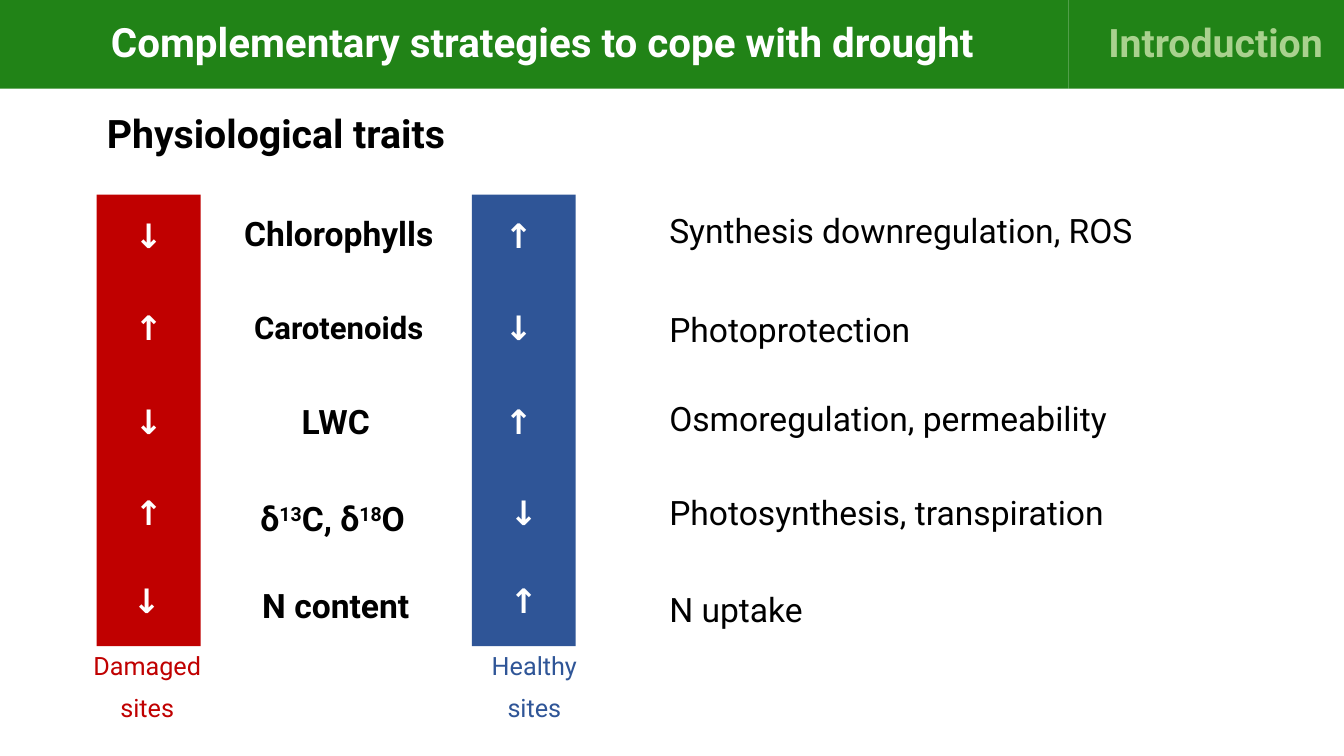
"""Build the slide on physiological strategies to cope with drought."""
import pptx
import pptx.util
import pptx.dml.color
import pptx.enum.shapes
import pptx.enum.text

TITLE = "Complementary strategies to cope with drought"
SECTION = "Introduction"
HEADING = "Physiological traits"
COLORS = {"green": "218317", "light": "A9D18E", "damaged": "C00000",
          "healthy": "2F5597", "white": "FFFFFF", "black": "000000"}
SITES = [
    {"name": "Damaged", "color": "damaged", "left": 0.96, "label_left": 0.77},
    {"name": "Healthy", "color": "healthy", "left": 4.68, "label_left": 4.61},
]
# fmt: off
TRAITS = [
    {"name": ["Chlorophylls"], "size": 24, "spacing": 0.9, "center": 3.36, "arrows": "↓↑",
     "reason": "Synthesis downregulation, ROS", "reason_spacing": 0.8,
     "tops": (2.16, 2.11, 2.11), "nudges": (0, -0.05)},
    {"name": ["Carotenoids"], "size": 22.2, "spacing": 0.9, "center": 3.36, "arrows": "↑↓",
     "reason": "Photoprotection", "reason_spacing": 0.9,
     "tops": (3.07, 3.05, 3.06), "nudges": (0, -0.05)},
    {"name": ["LWC"], "size": 24, "spacing": 0.8, "center": 3.33, "arrows": "↓↑",
     "reason": "Osmoregulation, permeability", "reason_spacing": 0.9,
     "tops": (4.01, 4.01, 3.94), "nudges": (0, -0.05)},
    {"name": ["δ", "13", "C, δ", "18", "O"], "size": 24, "spacing": 0.8, "center": 3.3,
     "arrows": "↑↓", "reason": "Photosynthesis, transpiration", "reason_spacing": 0.9,
     "tops": (4.91, 4.97, 4.88), "nudges": (0, 0)},
    {"name": ["N content"], "size": 24, "spacing": 0.8, "center": 3.33, "arrows": "↓↑",
     "reason": "N uptake", "reason_spacing": 0.9,
     "tops": (5.78, 5.83, 5.84), "nudges": (-0.02, 0)},
]
# fmt: on
WIDTH, HEIGHT = 13.33, 7.5
HEADER_HEIGHT, HEADER_SPLIT = 0.88, 10.6
BAR_TOP, BAR_WIDTH, BAR_HEIGHT = 1.93, 1.03, 4.48
NAME_WIDTH, LABEL_WIDTH, LINE_HEIGHT = 2.25, 1.38, 0.44
REASON_LEFT, REASON_WIDTH = 6.54, 5.83
ALIGN = pptx.enum.text.PP_ALIGN
MIDDLE = pptx.enum.text.MSO_ANCHOR.MIDDLE


def inches(*lengths):
    return [pptx.util.Inches(length) for length in lengths]


def rgb(color):
    return pptx.dml.color.RGBColor.from_string(COLORS[color])


def place(shape, *box):
    shape.left, shape.top, shape.width, shape.height = inches(*box)


def paint(shape, color):
    shape.fill.solid()
    shape.fill.fore_color.rgb = rgb(color)
    shape.line.fill.background()


def write(shape, lines, size, color, bold=False, align=ALIGN.LEFT, spacing=0.9,
          anchor=pptx.enum.text.MSO_ANCHOR.TOP):
    """Fill a shape; each line is a list of parts, every second one superscript."""
    frame = shape.text_frame
    frame.word_wrap = True
    frame.auto_size = pptx.enum.text.MSO_AUTO_SIZE.NONE
    frame.vertical_anchor = anchor
    for index, parts in enumerate(lines):
        paragraph = frame.add_paragraph() if index else frame.paragraphs[0]
        paragraph.alignment = align
        paragraph.line_spacing = spacing
        paragraph.space_before = pptx.util.Pt(10 if index else 0)
        for position, part in enumerate(parts):
            run = paragraph.add_run()
            run.text = part
            run.font.name = "Roboto"
            run.font.size = pptx.util.Pt(size)
            run.font.bold = bold
            run.font.color.rgb = rgb(color)
            if position % 2:
                run.font._element.set("baseline", "30000")


def add_rectangle(slide, color, *box):
    shape = slide.shapes.add_shape(pptx.enum.shapes.MSO_SHAPE.RECTANGLE, *inches(*box))
    shape.shadow.inherit = False
    paint(shape, color)
    return shape


def add_text(slide, box, *content, **style):
    write(slide.shapes.add_textbox(*inches(*box)), *content, **style)


def add_header(slide):
    title = slide.shapes.title
    place(title, 0, 0, HEADER_SPLIT, HEADER_HEIGHT)
    paint(title, "green")
    title.text_frame.margin_left = pptx.util.Inches(1.1)
    write(title, [[TITLE]], 28.8, "white", bold=True, anchor=MIDDLE)

    section = add_rectangle(slide, "green", HEADER_SPLIT, 0, WIDTH - HEADER_SPLIT, HEADER_HEIGHT)
    section.text_frame.margin_right = pptx.util.Inches(0.21)
    write(section, [[SECTION]], 28, "light", bold=True, align=ALIGN.RIGHT, anchor=MIDDLE)

    heading = slide.placeholders[1]
    place(heading, 0.96, 1.09, 11.74, 0.63)
    properties = heading.text_frame.paragraphs[0]._p.get_or_add_pPr()
    properties.set("marL", "0")
    properties.set("indent", "0")
    properties.append(pptx.oxml.parse_xml(
        '<a:buNone xmlns:a="http://schemas.openxmlformats.org/drawingml/2006/main"/>'))
    write(heading, [[HEADING]], 28, "black", bold=True)


def add_sites(slide):
    for site in SITES:
        add_rectangle(slide, site["color"], site["left"], BAR_TOP, BAR_WIDTH, BAR_HEIGHT)
        add_text(slide, (site["label_left"], BAR_TOP + BAR_HEIGHT + 0.03, LABEL_WIDTH, 2 * LINE_HEIGHT),
                 [[site["name"]], ["sites"]], 18, site["color"], align=ALIGN.CENTER)


def add_traits(slide):
    for trait in TRAITS:
        arrow_top, name_top, reason_top = trait["tops"]
        for site, arrow, nudge in zip(SITES, trait["arrows"], trait["nudges"]):
            add_text(slide, (site["left"] + nudge, arrow_top, BAR_WIDTH, LINE_HEIGHT),
                     [[arrow]], 24, "white", bold=True, align=ALIGN.CENTER, spacing=0.8)
        add_text(slide, (trait["center"] - NAME_WIDTH / 2, name_top, NAME_WIDTH, LINE_HEIGHT),
                 [trait["name"]], trait["size"], "black", bold=True,
                 align=ALIGN.CENTER, spacing=trait["spacing"])
        add_text(slide, (REASON_LEFT, reason_top, REASON_WIDTH, LINE_HEIGHT),
                 [[trait["reason"]]], 24, "black", spacing=trait["reason_spacing"])


def main():
    presentation = pptx.Presentation()
    presentation.slide_width, presentation.slide_height = inches(WIDTH, HEIGHT)
    slide = presentation.slides.add_slide(presentation.slide_layouts[1])
    add_header(slide)
    add_sites(slide)
    add_traits(slide)
    presentation.save("out.pptx")


if __name__ == "__main__":
    main()
